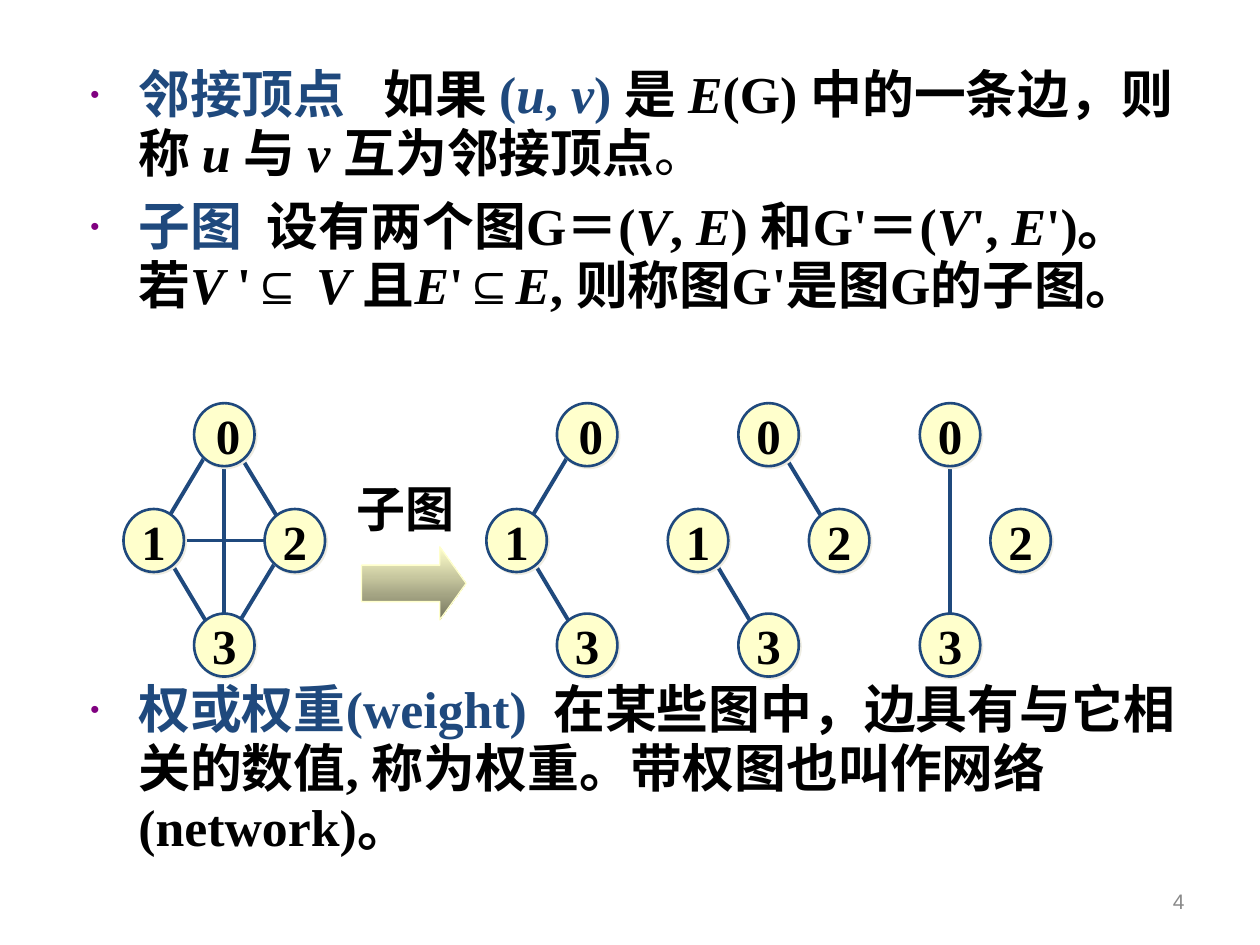
from lxml import etree
from pptx import Presentation
from pptx import util as u
from pptx.dml.color import RGBColor
from pptx.enum import shapes, text
from pptx.oxml import ns

COLORS = {"ink": "000000", "edge": "1F497D", "node": "FFFFCC", "shade": "76765E",
          "shadow": "EEECE1", "bullet": "800080", "number": "898989"}
SERIF, SANS = "Times New Roman", "Arial"
BODY_SIZE, LABEL_SIZE = 29.6, 28

# Graph grid: one column pitch between graphs, nodes around each centre
FIRST_X, CENTER_Y, PITCH = 1.78, 4.29, 1.44
NODE_W, NODE_H = 0.48, 0.5
NODES = {"0": (0, -0.84), "1": (-0.56, 0), "2": (0.56, 0), "3": (0, 0.83)}
EDGES = {"01": (-0.08, -0.79, -0.48, -0.12), "13": (-0.48, 0.08, -0.08, 0.75),
         "02": (0.08, -0.75, 0.48, -0.09), "23": (0.48, 0.05, 0.08, 0.71),
         "12": (-0.4, 0, 0.48, 0), "03": (0, -0.67, 0, 0.8)}
GRAPHS = [  # column, nodes, edges, left inset that nudges the label 0
    (0, "0123", ("23", "01", "13", "02", "12", "03"), 0.06),
    (2, "013", ("01", "13"), 0.06),
    (3, "0123", ("13", "02"), 0),
    (4, "023", ("03",), 0),
]

# Spans: (words, style); a whole number in place of words is a gap in space widths
TERM = {"color": "edge"}
ITALIC = {"italic": True}
SYMBOL = {"font": SANS}
ADJACENT = [
    ("邻接顶点", TERM), (3, {}), ("如果 ", {}), ("(", TERM), ("u", {**TERM, **ITALIC}),
    (", ", TERM), ("v", {**TERM, **ITALIC}), (") ", TERM), ("是 ", {}), ("E", ITALIC),
    ("(G) 中的一条边，则称 ", {}), ("u ", ITALIC), ("与 ", {}), ("v ", ITALIC),
    ("互为邻接顶点", {}), ("。", {"bold": False}),
]
SUBGRAPH = [
    ("子图", TERM), (2, {}), ("设有两个图G＝(", {}), ("V", ITALIC), (", ", {}), ("E", ITALIC),
    (") 和G'＝(", {}), ("V", ITALIC), ("', ", {}), ("E", ITALIC), ("')。若", {}),
    ("V ", ITALIC), ("'", {}), ("⊆", SYMBOL), (" V ", ITALIC), ("且", {}),
    ("E", ITALIC), ("'", {}), ("⊆", SYMBOL), ("E", ITALIC),
    (", 则称图G'是图G的子图。", {}),
]
WEIGHT = [
    ("权或权重(weight)", TERM), (2, TERM),
    ("在某些图中，边具有与它相关的数值, 称为权重。带权图也叫作网络(network)。", {}),
]


def rgb(name):
    return RGBColor.from_string(COLORS[name])


def inches(*lengths):
    return [u.Inches(length) for length in lengths]


def add_xml(parent, tag, **attributes):
    return etree.SubElement(parent, ns.qn(tag), attributes)


def write(para, words, size=LABEL_SIZE, font=SERIF, color="ink", bold=True, italic=False):
    """Add one span; a whole number gives a single space stretched to that many."""
    span = para.add_run()
    if isinstance(words, int):
        span.text = " "
        extra = (words - 1) * size * 0.25
        span.font.size = u.Pt(size)
        span.font._element.set("spc", str(round(extra * 100)))
    else:
        span.text = words
    span.font.size, span.font.name = u.Pt(size), font
    span.font.bold, span.font.italic = bold, italic
    span.font.color.rgb = rgb(color)


def add_box(page, left, top, width, height):
    box = page.shapes.add_textbox(*inches(left, top, width, height))
    box.text_frame.word_wrap = True
    return box.text_frame


def add_bullet(para):
    """Give the paragraph a hanging indent and a small dot."""
    props = para._p.get_or_add_pPr()
    props.set("marL", str(u.Inches(0.38)))
    props.set("indent", str(-u.Inches(0.38)))
    add_xml(add_xml(props, "a:buClr"), "a:srgbClr", val=COLORS["bullet"])
    add_xml(props, "a:buSzPct", val="50000")
    add_xml(props, "a:buFont", typeface=SANS)
    add_xml(props, "a:buChar", char="•")


def add_definitions(page, top, height, definitions):
    frame = add_box(page, 0.62, top, 8.83, height)
    for index, spans in enumerate(definitions):
        para = frame.add_paragraph() if index else frame.paragraphs[0]
        add_bullet(para)
        para.line_spacing = 0.95
        para.space_before = u.Pt(8 if index else 0)
        for words, style in spans:
            write(para, words, size=BODY_SIZE, **style)


def add_edge(group, center_x, ends):
    x1, y1, x2, y2 = ends
    edge = group.shapes.add_connector(
        shapes.MSO_CONNECTOR.STRAIGHT,
        *inches(center_x + x1, CENTER_Y + y1, center_x + x2, CENTER_Y + y2))
    edge.line.color.rgb, edge.line.width = rgb("edge"), u.Pt(2.25)
    add_xml(edge._element.spPr, "a:effectLst")


def add_node(group, center_x, name, inset):
    dx, dy = NODES[name]
    node = group.shapes.add_shape(
        shapes.MSO_SHAPE.OVAL,
        *inches(center_x + dx - NODE_W / 2, CENTER_Y + dy - NODE_H / 2, NODE_W, NODE_H))
    node.fill.solid()
    node.fill.fore_color.rgb = rgb("node")
    node.line.color.rgb, node.line.width = rgb("edge"), u.Pt(1.5)
    node.shadow.inherit = False
    effects = node._element.spPr.find(ns.qn("a:effectLst"))
    shadow = add_xml(effects, "a:outerShdw", dist=str(u.Pt(1.4)), dir="2700000",
                     algn="ctr", rotWithShape="0")
    add_xml(shadow, "a:srgbClr", val=COLORS["shadow"])
    frame = node.text_frame
    frame.margin_left, frame.margin_right = inches(inset, 0)
    frame.margin_top = frame.margin_bottom = 0
    frame.vertical_anchor = text.MSO_ANCHOR.MIDDLE
    frame.paragraphs[0].alignment = text.PP_ALIGN.CENTER
    write(frame.paragraphs[0], name)


def add_graph(page, column, nodes, edges, zero_inset):
    group = page.shapes.add_group_shape()
    center_x = FIRST_X + column * PITCH
    for edge in edges:
        add_edge(group, center_x, EDGES[edge])
    for name in nodes:
        add_node(group, center_x, name, zero_inset if name == "0" else 0)


def add_arrow(page):
    arrow = page.shapes.add_shape(shapes.MSO_SHAPE.RIGHT_ARROW, *inches(2.87, 4.34, 0.83, 0.58))
    arrow.adjustments[0], arrow.adjustments[1] = 0.5, 0.36
    arrow.fill.gradient()
    arrow.fill.gradient_angle = 270
    for stop, color in zip(arrow.fill.gradient_stops, ("node", "shade")):
        stop.color.rgb = rgb(color)
    arrow.line.color.rgb, arrow.line.width = rgb("node"), u.Pt(0.75)
    arrow.shadow.inherit = False


def add_page_number(page):
    frame = add_box(page, 7.17, 6.95, 2.33, 0.4)
    frame.vertical_anchor = text.MSO_ANCHOR.MIDDLE
    frame.paragraphs[0].alignment = text.PP_ALIGN.RIGHT
    write(frame.paragraphs[0], "4", size=12, font=SANS, color="number", bold=False)


def main():
    deck = Presentation()
    deck.slide_width, deck.slide_height = inches(10, 7.5)
    page = deck.slides.add_slide(deck.slide_layouts[6])
    add_definitions(page, 0.48, 2.6, [ADJACENT, SUBGRAPH])
    add_definitions(page, 5.36, 1.5, [WEIGHT])
    add_page_number(page)
    add_arrow(page)
    write(add_box(page, 2.73, 3.75, 1.2, 0.57).paragraphs[0], "子图")
    for graph in GRAPHS:
        add_graph(page, *graph)
    deck.save("out.pptx")


if __name__ == "__main__":
    main()
